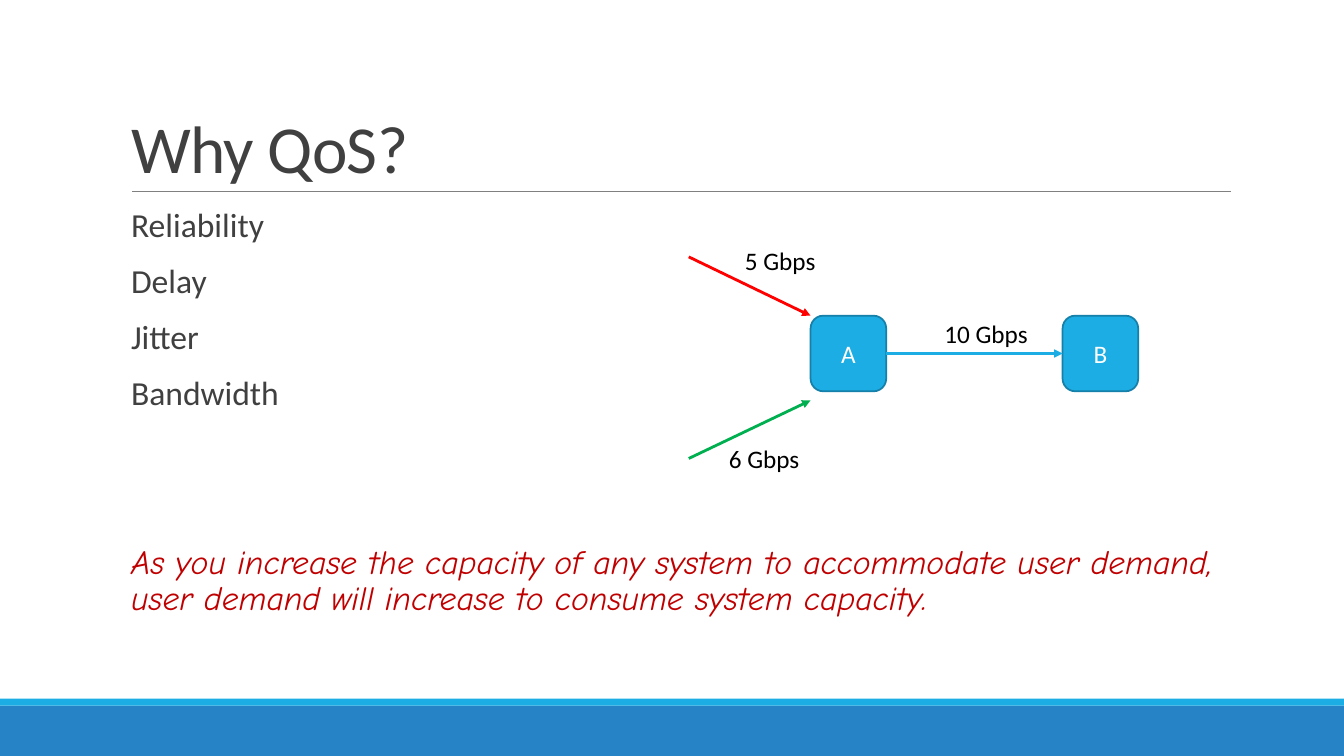
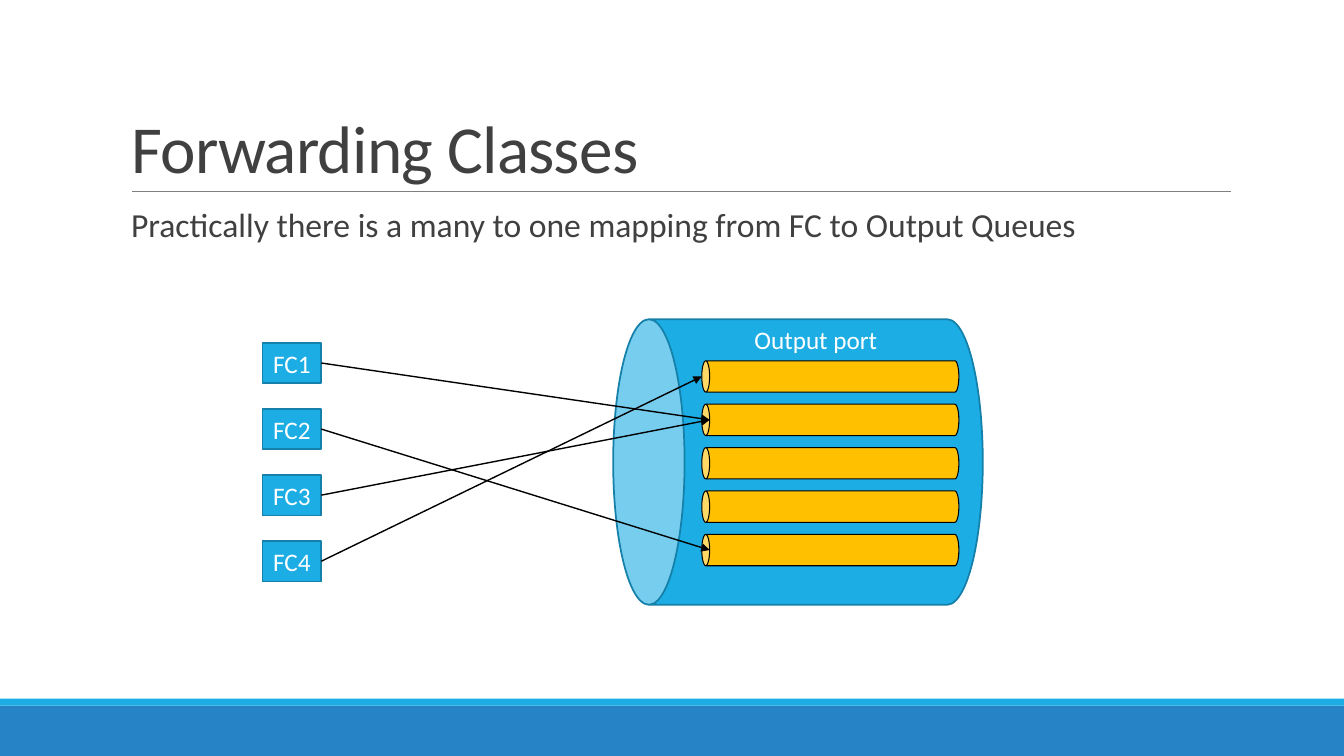
from lxml import etree
from pptx import Presentation
from pptx.dml.color import RGBColor
from pptx.enum import shapes, text
from pptx.oxml import ns
from pptx.util import Pt

WHITE = RGBColor(0xFF, 0xFF, 0xFF)
BLACK = RGBColor(0, 0, 0)
CHARCOAL = RGBColor(0x40, 0x40, 0x40)
GREY = RGBColor(0x80, 0x80, 0x80)
SKY = RGBColor(0x1C, 0xAD, 0xE4)
SKY_EDGE = RGBColor(0x15, 0x80, 0xA9)
BLUE = RGBColor(0x26, 0x83, 0xC6)
RED = RGBColor(0xFF, 0, 0)
DARK_RED = RGBColor(0xC0, 0, 0)
GREEN = RGBColor(0, 0xB0, 0x50)
AMBER = RGBColor(0xFF, 0xC0, 0)

SHAPE = shapes.MSO_SHAPE
LEFT, CENTER = text.PP_ALIGN.LEFT, text.PP_ALIGN.CENTER
TOP, MIDDLE, BOTTOM = text.MSO_ANCHOR.TOP, text.MSO_ANCHOR.MIDDLE, text.MSO_ANCHOR.BOTTOM


def format_box(box, *lines, fill=None, edge=None, edge_width=1.25, size=18, color=WHITE,
               font="Calibri", italic=False, align=CENTER, anchor=MIDDLE, wrap=True,
               side_inset=7.2, spacing=1.0, before=0, after=0, tracking=0):
    """Set the fill, outline and text lines of a shape, text box or placeholder."""
    if fill is not None:
        box.shadow.inherit = False
        box.fill.solid()
        box.fill.fore_color.rgb = fill
        if edge is None:
            box.line.fill.background()
        else:
            box.line.color.rgb = edge
            box.line.width = Pt(edge_width)
    frame = box.text_frame
    frame.word_wrap = wrap
    frame.auto_size = text.MSO_AUTO_SIZE.NONE
    frame.vertical_anchor = anchor
    frame.margin_left = frame.margin_right = Pt(side_inset)
    frame.margin_top = frame.margin_bottom = Pt(3.6)
    for index, line in enumerate(lines):
        para = frame.add_paragraph() if index else frame.paragraphs[0]
        para.alignment = align
        para.line_spacing = spacing
        para.space_before = Pt(before if index else 0)
        para.space_after = Pt(after)
        span = para.add_run()
        span.text = line
        span.font.name = font
        span.font.size = Pt(size)
        span.font.italic = italic
        span.font.color.rgb = color
        if tracking:
            span.font._element.set("spc", str(round(tracking * 100)))


def add_line(page, start, end, color, width, arrow=True):
    line = page.shapes.add_connector(
        shapes.MSO_CONNECTOR.STRAIGHT, *(Pt(value) for value in (*start, *end)))
    line.line.color.rgb = color
    line.line.width = Pt(width)
    if arrow:
        etree.SubElement(line.line._get_or_add_ln(), ns.qn("a:tailEnd"), type="triangle")
    etree.SubElement(line._element.spPr, ns.qn("a:effectLst"))


deck = Presentation()
deck.slide_width, deck.slide_height = Pt(960), Pt(540)

# Shared frame: bands, rule, title and body text
slides = [
    ("Why QoS?", ["Reliability", "Delay", "Jitter", "Bandwidth"]),
    ("Forwarding Classes",
     ["Practically there is a many to one mapping from FC to Output Queues"]),
]
pages = []
for heading, points in slides:
    page = deck.slides.add_slide(deck.slide_layouts[5])
    pages.append(page)
    for top, height, color in ((504, 36, BLUE), (499, 5, SKY)):
        band = page.shapes.add_shape(SHAPE.RECTANGLE, 0, Pt(top), Pt(960), Pt(height))
        format_box(band, fill=color)
    add_line(page, (94.5, 136.8), (879, 136.8), GREY, 0.5, arrow=False)
    title = page.shapes.title
    title.left, title.top, title.width, title.height = Pt(86.4), Pt(22.5), Pt(792), Pt(114.5)
    format_box(title, heading, size=48, color=CHARCOAL, align=LEFT, anchor=BOTTOM,
               spacing=0.85, tracking=-0.5)
    body = page.shapes.add_textbox(Pt(93.6), Pt(145.4), Pt(785), Pt(170))
    format_box(body, *points, size=24, color=CHARCOAL, align=LEFT, anchor=TOP,
               side_inset=0, spacing=0.9, before=12, after=2)

qos_page, classes_page = pages

# Why QoS?: two inputs that together exceed the link from A to B
quote = qos_page.shapes.add_textbox(Pt(93.6), Pt(386), Pt(785), Pt(70))
format_box(quote, "As you increase the capacity of any system to accommodate user demand, "
           "user demand will increase to consume system capacity.",
           size=24, color=DARK_RED, font="Comic Neue", italic=True, align=LEFT, anchor=TOP,
           side_inset=0, spacing=0.9)

node_size, node_top, a_left, b_left = 54, 225.5, 579, 759
for name, left in (("A", a_left), ("B", b_left)):
    node = qos_page.shapes.add_shape(
        SHAPE.ROUNDED_RECTANGLE, Pt(left), Pt(node_top), Pt(node_size), Pt(node_size))
    format_box(node, name, fill=SKY, edge=SKY_EDGE)

link_y = node_top + node_size / 2
add_line(qos_page, (a_left + node_size, link_y), (b_left, link_y), SKY, 2)
add_line(qos_page, (492, 183.5), (a_left, node_top), RED, 2)
add_line(qos_page, (492, 327.5), (a_left, 286), GREEN, 2)
for rate, left, top, width in (("10 Gbps", 667.5, 224, 75), ("5 Gbps", 525, 171.5, 65.5),
                               ("6 Gbps", 513.5, 313, 65.5)):
    label = qos_page.shapes.add_textbox(Pt(left), Pt(top), Pt(width), Pt(29))
    format_box(label, rate, color=BLACK, align=LEFT, anchor=TOP, wrap=False)

# Forwarding Classes: cans lie on their side, so they are turned by 270 degrees
port = classes_page.shapes.add_shape(SHAPE.CAN, Pt(468), Pt(198), Pt(204), Pt(264))
port.rotation = 270
format_box(port, "Output port", fill=SKY, edge=SKY_EDGE, anchor=TOP)
port.text_frame._txBody.bodyPr.set("vert", "vert")

queue_left, queue_length, queue_height = 501.3, 183.6, 22.4
queue_centers = [268.9 + 31 * index for index in range(5)]
for center in queue_centers:
    queue = classes_page.shapes.add_shape(
        SHAPE.CAN, Pt(queue_left + (queue_length - queue_height) / 2),
        Pt(center - queue_length / 2), Pt(queue_height), Pt(queue_length))
    queue.rotation = 270
    format_box(queue, fill=AMBER, edge=BLACK, edge_width=0.75)

class_left, class_width, class_height = 187.5, 42, 29
lid_depth = 5.6
for index, queue_index in enumerate((1, 4, 1, 0)):
    top = 244.8 + 47.2 * index
    box = classes_page.shapes.add_shape(
        SHAPE.RECTANGLE, Pt(class_left), Pt(top), Pt(class_width), Pt(class_height))
    format_box(box, f"FC{index + 1}", fill=SKY, edge=SKY_EDGE, wrap=False)
    add_line(classes_page, (class_left + class_width, top + class_height / 2),
             (queue_left + (lid_depth if queue_index else 0), queue_centers[queue_index]),
             BLACK, 1)

deck.save("out.pptx")
